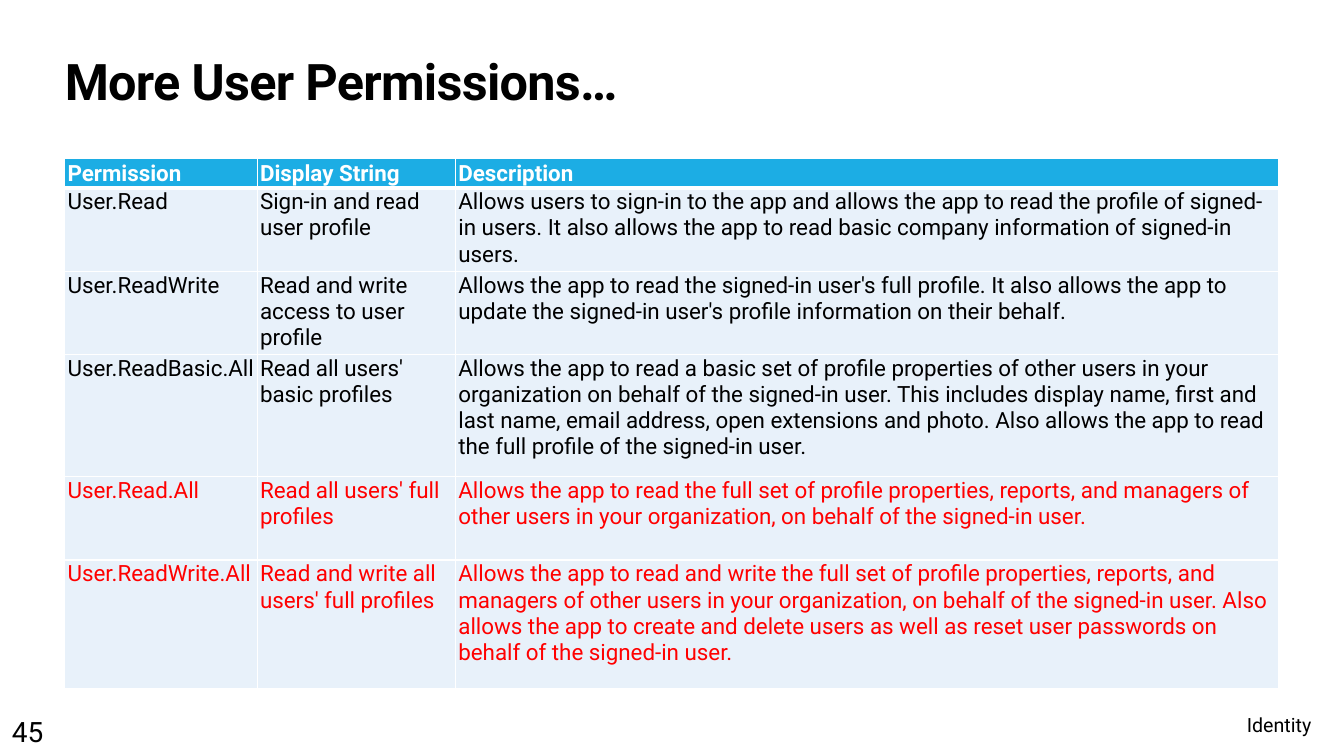
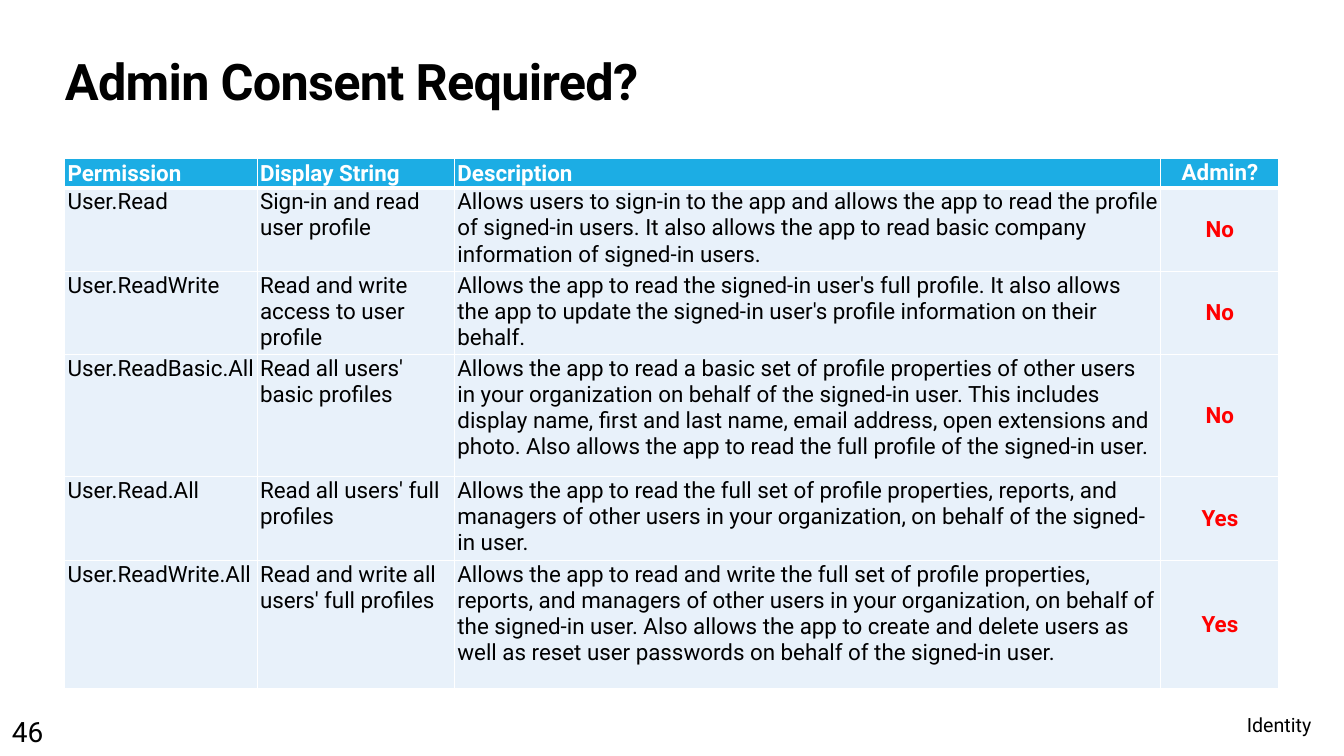
"""Build two slides that list user permissions and their admin consent."""
from lxml import etree
from pptx import Presentation
from pptx.dml.color import RGBColor
from pptx.enum.text import MSO_ANCHOR, PP_ALIGN
from pptx.oxml.ns import qn
from pptx.util import Pt

LEFT, CENTER = PP_ALIGN.LEFT, PP_ALIGN.CENTER
TOP, MIDDLE, BOTTOM = MSO_ANCHOR.TOP, MSO_ANCHOR.MIDDLE, MSO_ANCHOR.BOTTOM

FONT = "Roboto"
COLORS = {
    "text": "000000",
    "alert": "FF0000",
    "white": "FFFFFF",
    "header": "1CADE4",
    "body": "E8F1FA",
}
MARGIN, CONTENT_WIDTH = 46.3, 867.4
TABLE_TOP = 113
ROW_HEIGHTS = [20.7, 59.4, 59.4, 87.2, 59.4, 92]

HEADINGS = ["Permission", "Display String", "Description"]
PERMISSIONS = [
    ["User.Read", "Sign-in and read user profile",
     "Allows users to sign-in to the app and allows the app to read the profile of "
     "signed-in users. It also allows the app to read basic company information of "
     "signed-in users."],
    ["User.ReadWrite", "Read and write access to user profile",
     "Allows the app to read the signed-in user's full profile. It also allows the app "
     "to update the signed-in user's profile information on their behalf."],
    ["User.ReadBasic.All", "Read all users' basic profiles",
     "Allows the app to read a basic set of profile properties of other users in your "
     "organization on behalf of the signed-in user. This includes display name, first "
     "and last name, email address, open extensions and photo. Also allows the app to "
     "read the full profile of the signed-in user."],
    ["User.Read.All", "Read all users' full profiles",
     "Allows the app to read the full set of profile properties, reports, and managers "
     "of other users in your organization, on behalf of the signed-in user."],
    ["User.ReadWrite.All", "Read and write all users' full profiles",
     "Allows the app to read and write the full set of profile properties, reports, and "
     "managers of other users in your organization, on behalf of the signed-in user. "
     "Also allows the app to create and delete users as well as reset user passwords on "
     "behalf of the signed-in user."],
]
ADMIN_ANSWERS = ["No", "No", "No", "Yes", "Yes"]

PAGES = [
    {
        "number": 45,
        "title": "More User Permissions…",
        "widths": [137.5, 141.7, 588.2],
        "rows": [HEADINGS] + PERMISSIONS,
        "alert_rows": [4, 5],
    },
    {
        "number": 46,
        "title": "Admin Consent Required?",
        "widths": [137.5, 141, 504.4, 84.5],
        "rows": [HEADINGS + ["Admin?"]]
        + [row + [answer] for row, answer in zip(PERMISSIONS, ADMIN_ANSWERS)],
        "alert_rows": [],
    },
]


def write(frame, text, size=16, color="text", bold=False, align=LEFT, spacing=0):
    """Fill a text frame with one formatted paragraph."""
    para = frame.paragraphs[0]
    para.alignment = align
    span = para.add_run()
    span.text = text
    span.font.name = FONT
    span.font.size = Pt(size)
    span.font.bold = bold
    span.font.color.rgb = RGBColor.from_string(COLORS[color])
    if spacing:
        span.font._element.set("spc", str(int(spacing * 100)))


def add_borders(cell, top=1, bottom=1):
    """Draw white lines around a table cell."""
    properties = cell._tc.get_or_add_tcPr()
    edges = [("a:lnL", 1), ("a:lnR", 1), ("a:lnT", top), ("a:lnB", bottom)]
    for index, (tag, width) in enumerate(edges):
        line = etree.Element(qn(tag), w=str(Pt(width)))
        fill = etree.SubElement(line, qn("a:solidFill"))
        etree.SubElement(fill, qn("a:srgbClr"), val=COLORS["white"])
        properties.insert(index, line)


deck = Presentation()
deck.slide_width, deck.slide_height = Pt(960), Pt(540)
layout = deck.slide_layouts[5]
layout_title = layout.placeholders[0]
layout_title.left, layout_title.top = Pt(MARGIN), Pt(36)
layout_title.width, layout_title.height = Pt(CONTENT_WIDTH), Pt(44)

for content in PAGES:
    page = deck.slides.add_slide(layout)

    footers = [
        (str(content["number"]), 20, 8.6, 510.5, 25, 24.5),
        ("Identity", 14, 890.6, 509, 47.5, 17.3),
    ]
    for text, size, left, top, width, height in footers:
        box = page.shapes.add_textbox(Pt(left), Pt(top), Pt(width), Pt(height))
        frame = box.text_frame
        frame.margin_left = frame.margin_right = 0
        frame.margin_top = frame.margin_bottom = 0
        frame.word_wrap = False
        write(frame, text, size=size)

    frame = page.shapes.title.text_frame
    frame.margin_left = frame.margin_right = 0
    frame.margin_top = frame.margin_bottom = 0
    frame.vertical_anchor = TOP
    write(frame, content["title"], size=36, bold=True, spacing=-0.5)

    rows, widths = content["rows"], content["widths"]
    table = page.shapes.add_table(
        len(rows), len(widths), Pt(MARGIN), Pt(TABLE_TOP),
        Pt(CONTENT_WIDTH), Pt(sum(ROW_HEIGHTS)),
    ).table
    table.horz_banding = False
    for column, width in zip(table.columns, widths):
        column.width = Pt(width)

    for row_index, row in enumerate(rows):
        table.rows[row_index].height = Pt(ROW_HEIGHTS[row_index])
        is_header = row_index == 0
        for column_index, text in enumerate(row):
            is_admin = column_index == len(HEADINGS)
            is_alert = is_admin or row_index in content["alert_rows"]
            cell = table.cell(row_index, column_index)
            cell.margin_left = cell.margin_right = Pt(2)
            cell.margin_top = cell.margin_bottom = Pt(1)
            cell.vertical_anchor = MIDDLE if is_admin else BOTTOM if is_header else TOP
            cell.fill.solid()
            fill = COLORS["header" if is_header else "body"]
            cell.fill.fore_color.rgb = RGBColor.from_string(fill)
            add_borders(cell, top=3 if row_index == 1 else 1, bottom=3 if is_header else 1)
            write(
                cell.text_frame, text,
                color="white" if is_header else "alert" if is_alert else "text",
                bold=is_header or is_admin,
                align=CENTER if is_admin else LEFT,
            )

deck.save("out.pptx")
